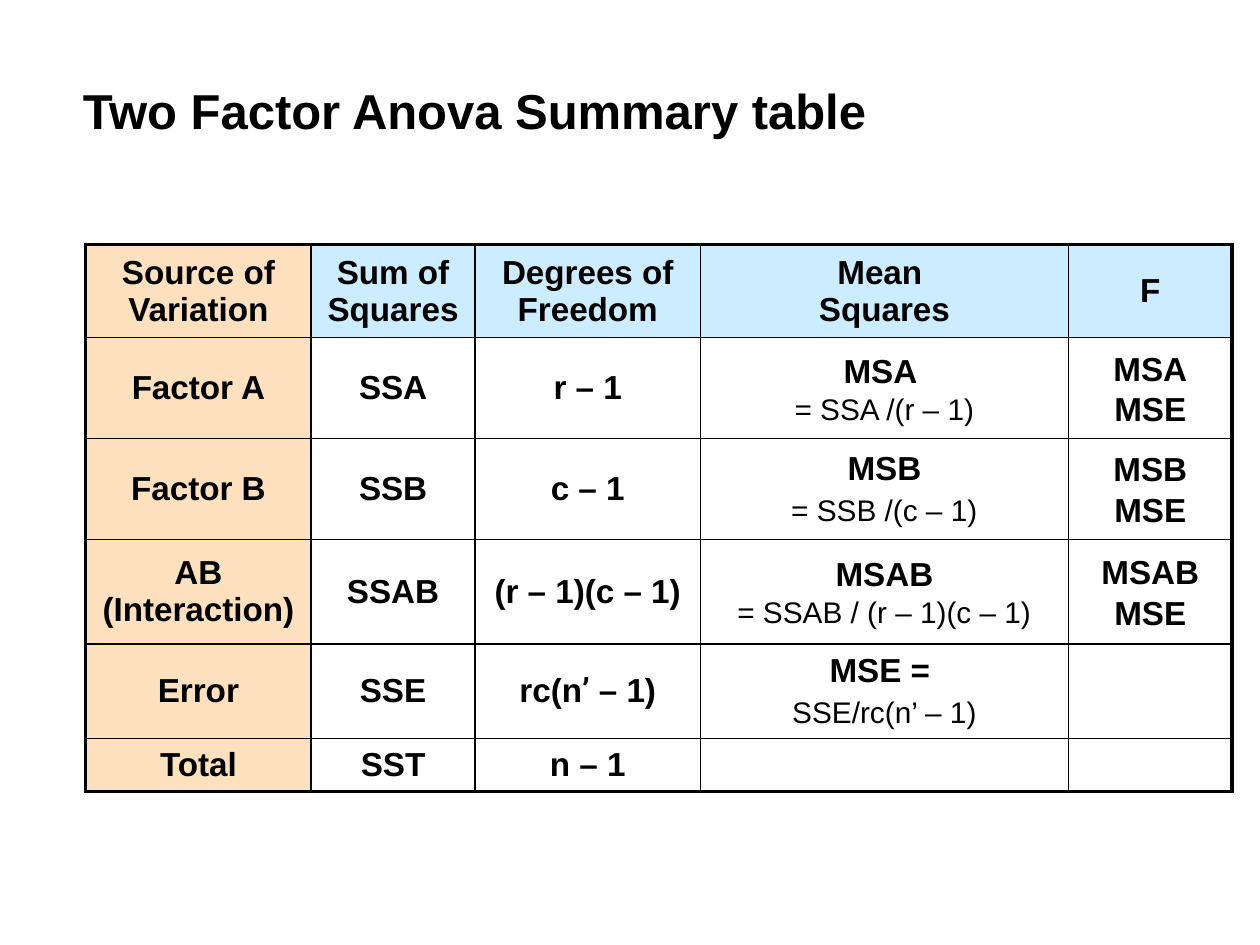
from lxml import etree
from pptx import Presentation
from pptx.dml.color import RGBColor
from pptx.enum.text import MSO_ANCHOR, PP_ALIGN
from pptx.oxml.ns import qn
from pptx.util import Inches, Pt

MIDDLE, CENTER = MSO_ANCHOR.MIDDLE, PP_ALIGN.CENTER
BLACK = RGBColor(0, 0, 0)
PEACH = RGBColor(0xFD, 0xE0, 0xBD)
SKY = RGBColor(0xCC, 0xEC, 0xFF)

BOLD = dict(name="Arial", size=Pt(19), bold=True)
PLAIN = dict(name="Arial", size=Pt(17), bold=False)
PRIME = dict(BOLD, name="Roboto")
THIN, THICK = Pt(1), Pt(2.25)

# A cell is a string, or a list of paragraphs, each a list of (text, format)
TITLE = "Two Factor Anova Summary table"
HEAD = ["Source of\nVariation", "Sum of\nSquares", "Degrees of Freedom",
        "Mean \nSquares", "F"]
BODY = [
    ["Factor A", "SSA", "r – 1",
     [[("MSA \n", BOLD), ("= SSA /(r – 1)", PLAIN)]], "MSA\nMSE"],
    ["Factor B", "SSB", "c – 1",
     [[("MSB", BOLD)], [("= SSB /(c – 1)", PLAIN)]], "MSB\nMSE"],
    ["AB\n(Interaction)", "SSAB", "(r – 1)(c – 1)",
     [[("MSAB\n", BOLD), ("= SSAB / (r – 1)(c – 1)", PLAIN)]], "MSAB\nMSE"],
    ["Error", "SSE", [[("rc(n", BOLD), ("’", PRIME), (" – 1)", BOLD)]],
     [[("MSE = ", BOLD)], [("SSE/rc(n’ – 1)", PLAIN)]], ""],
    ["Total", "SST", "n – 1", "", ""],
]
ROWS = [HEAD] + BODY
WIDTHS = [1.79, 1.3, 1.79, 2.92, 1.3]
HEIGHTS = [0.74, 0.8, 0.8, 0.83, 0.75, 0.41]


def write(para, text, style):
    """Add text to a paragraph, with a line break at each newline."""
    for n, line in enumerate(text.split("\n")):
        if n:
            para.add_line_break()
        if line:
            run = para.add_run()
            run.text = line
            for key, value in style.items():
                setattr(run.font, key, value)
            run.font.color.rgb = BLACK


def edge(cell, sides):
    """Draw the borders of a cell; they come before its fill."""
    props = cell._tc.get_or_add_tcPr()
    for n, (side, width) in enumerate(sides.items()):
        line = etree.Element(qn("a:ln" + side), w=str(int(width)))
        fill = etree.SubElement(line, qn("a:solidFill"))
        etree.SubElement(fill, qn("a:srgbClr"), val=str(BLACK))
        props.insert(n, line)


def fill_cell(cell, content, row, col):
    cell.vertical_anchor = MIDDLE
    if content:
        paras = [[(content, BOLD)]] if isinstance(content, str) else content
        frame = cell.text_frame
        for n, runs in enumerate(paras):
            para = frame.add_paragraph() if n else frame.paragraphs[0]
            para.alignment = CENTER
            para.space_before = Pt(3.8)
            if row and col > 2 and "\n" in runs[0][0]:
                para.line_spacing = 1.1
            for text, style in runs:
                write(para, text, style)
    # Side column, then head row, then clear body
    if col == 0 or row == 0:
        cell.fill.solid()
        cell.fill.fore_color.rgb = SKY if col else PEACH
    else:
        cell.fill.background()
    edge(cell, {
        "L": THIN if col else THICK,
        "R": THICK if col == len(WIDTHS) - 1 else THIN,
        "T": THIN if row else THICK,
        "B": THICK if row == len(ROWS) - 1 else THIN,
    })


def main():
    deck = Presentation()
    deck.slide_width, deck.slide_height = Inches(10), Inches(7.5)
    slide = deck.slides.add_slide(deck.slide_layouts[6])

    # Title
    box = slide.shapes.add_textbox(*map(Inches, (0.56, 0.59, 7.01, 0.57)))
    box.text_frame.word_wrap = True
    write(box.text_frame.paragraphs[0], TITLE, dict(BOLD, size=Pt(28)))

    # Summary table
    place = (0.68, 1.94, sum(WIDTHS), sum(HEIGHTS))
    table = slide.shapes.add_table(
        len(ROWS), len(WIDTHS), *map(Inches, place)).table
    table.first_row = table.horz_banding = False
    for col, width in zip(table.columns, WIDTHS):
        col.width = Inches(width)
    for row, height in zip(table.rows, HEIGHTS):
        row.height = Inches(height)
    for r, cells in enumerate(ROWS):
        for c, content in enumerate(cells):
            fill_cell(table.cell(r, c), content, r, c)

    deck.save("out.pptx")


if __name__ == "__main__":
    main()
